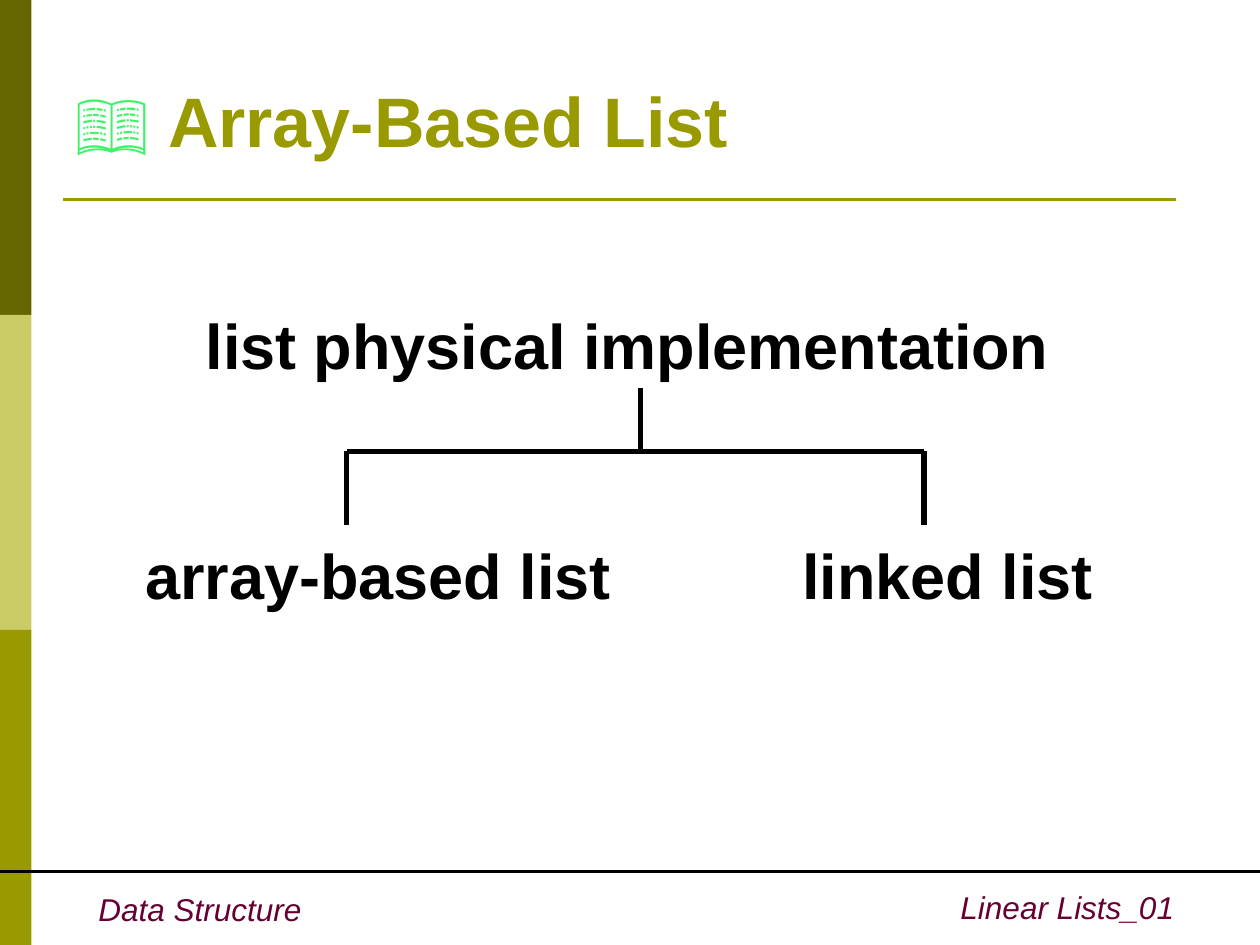
from dataclasses import dataclass

from lxml import etree
from pptx import Presentation
from pptx import util as u
from pptx.dml.color import RGBColor
from pptx.enum import shapes, text
from pptx.oxml.ns import qn

COLUMNS, ROWS = 120, 90
FONT = "Arial"
COLORS = {
    "dark": "666600",
    "light": "CCCC66",
    "olive": "999900",
    "footer": "660033",
    "book": "40F266",
    "ink": "000000",
}

prs = Presentation()
prs.slide_width, prs.slide_height = u.Inches(10), u.Inches(7.5)


@dataclass(frozen=True)
class Box:
    column: float
    row: float
    columns: float
    rows: float

    def place(self) -> tuple:
        return x(self.column), y(self.row), x(self.columns), y(self.rows)


@dataclass(frozen=True)
class Rule:
    start: tuple
    end: tuple
    width: float
    color: str = "ink"


@dataclass(frozen=True)
class Label:
    words: str
    box: Box
    format: dict


def x(column: float) -> int:
    return int(prs.slide_width * column / COLUMNS)


def y(row: float) -> int:
    return int(prs.slide_height * row / ROWS)


def rgb(color: str) -> RGBColor:
    return RGBColor.from_string(COLORS[color])


def write(paragraph, words: str, *, size: float, color: str = "ink",
          bold: bool = False, italic: bool = False,
          align=text.PP_ALIGN.LEFT) -> None:
    paragraph.alignment = align
    run = paragraph.add_run()
    run.text = words
    font = run.font
    font.name, font.size = FONT, u.Pt(size)
    font.bold, font.italic = bold, italic
    font.color.rgb = rgb(color)


def draw_band(slide, box: Box, color: str) -> None:
    band = slide.shapes.add_shape(shapes.MSO_SHAPE.RECTANGLE, *box.place())
    band.shadow.inherit = False
    band.fill.solid()
    band.fill.fore_color.rgb = rgb(color)
    band.line.fill.background()


def draw_rule(slide, rule: Rule) -> None:
    line = slide.shapes.add_connector(
        shapes.MSO_CONNECTOR.STRAIGHT,
        x(rule.start[0]), y(rule.start[1]), x(rule.end[0]), y(rule.end[1]))
    line.line.color.rgb = rgb(rule.color)
    line.line.width = u.Pt(rule.width)
    etree.SubElement(line._element.spPr, qn("a:effectLst"))


def draw_label(slide, label: Label) -> None:
    frame = slide.shapes.add_textbox(*label.box.place()).text_frame
    frame.word_wrap = True
    write(frame.paragraphs[0], label.words, **label.format)


def draw_title(slide, box: Box) -> None:
    title = slide.shapes.title
    title.left, title.top, title.width, title.height = box.place()
    frame = title.text_frame
    frame.auto_size = text.MSO_AUTO_SIZE.NONE
    frame.vertical_anchor = text.MSO_ANCHOR.BOTTOM
    heading = frame.paragraphs[0]
    write(heading, "📖 ", size=40, color="book")
    write(heading, "Array-Based List", size=40, color="olive", bold=True)


def main() -> None:
    slide = prs.slides.add_slide(prs.slide_layouts[5])

    for index, color in enumerate(("dark", "light", "olive")):
        draw_band(slide, Box(0, index * ROWS / 3, 3, ROWS / 3), color)

    draw_title(slide, Box(6, 4, 108, 12))

    left, trunk, right = 33, 61, 88
    top, branch, bottom = 37, 43, 50
    rules = (
        Rule((6, 19), (112, 19), 1.5, "olive"),
        Rule((0, 83), (COLUMNS, 83), 2.25),
        Rule((trunk, top), (trunk, branch), 3),
        Rule((left, branch), (right, branch), 3),
        Rule((left, branch), (left, bottom), 3),
        Rule((right, branch), (right, bottom), 3),
    )
    for rule in rules:
        draw_rule(slide, rule)

    node = dict(size=36, bold=True, align=text.PP_ALIGN.CENTER)
    footer = dict(size=18, italic=True, color="footer")
    labels = (
        Label("list physical implementation", Box(10, 28.6, 99.5, 8), node),
        Label("array-based list", Box(10, 50.5, 52, 8), node),
        Label("linked list", Box(71.5, 50.5, 37.5, 8), node),
        Label("Data Structure", Box(8.2, 84.2, 24, 4.8), footer),
        Label("Linear Lists_01", Box(63, 84, 50, 4.8),
              footer | dict(align=text.PP_ALIGN.RIGHT)),
    )
    for label in labels:
        draw_label(slide, label)

    prs.save("out.pptx")


if __name__ == "__main__":
    main()
